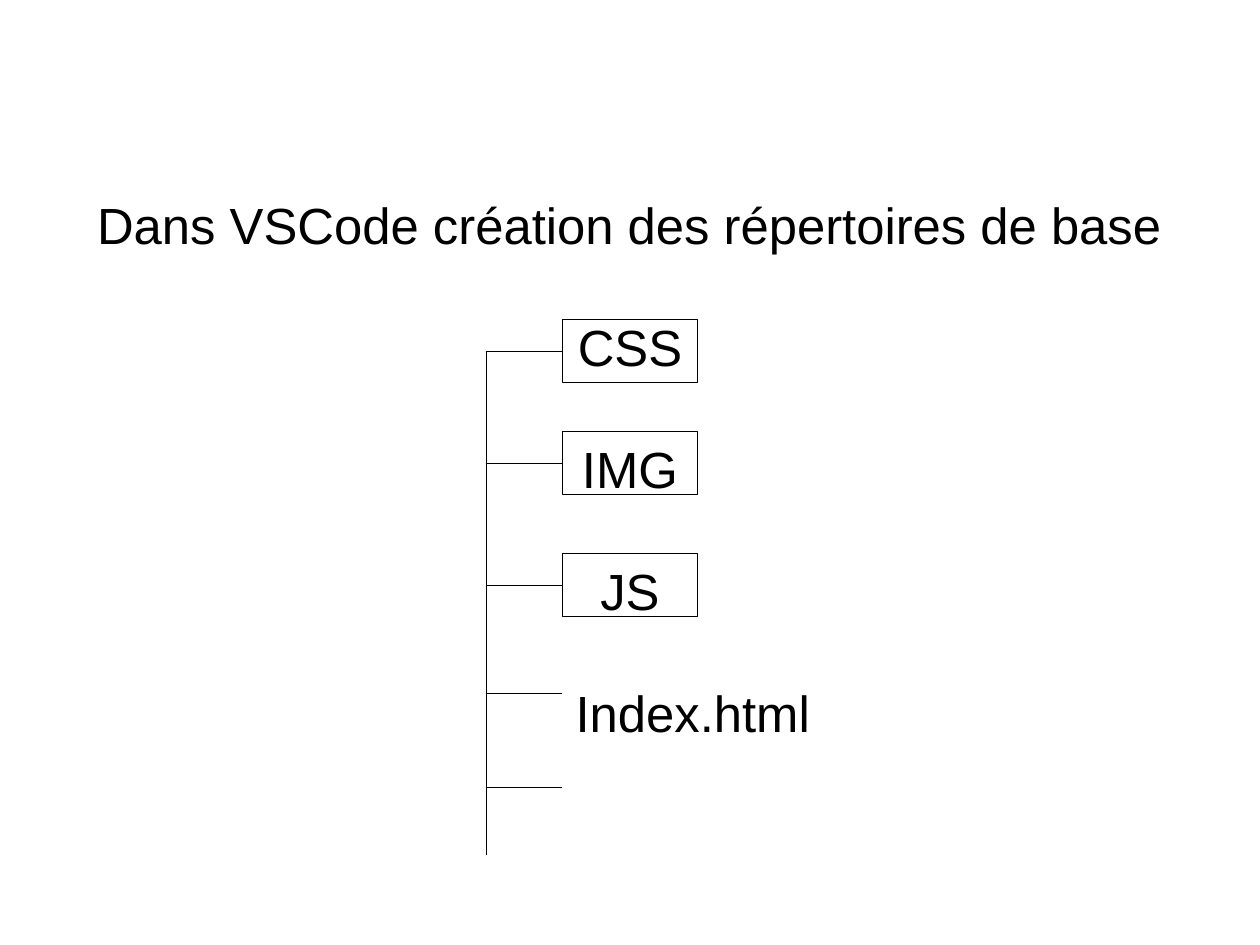
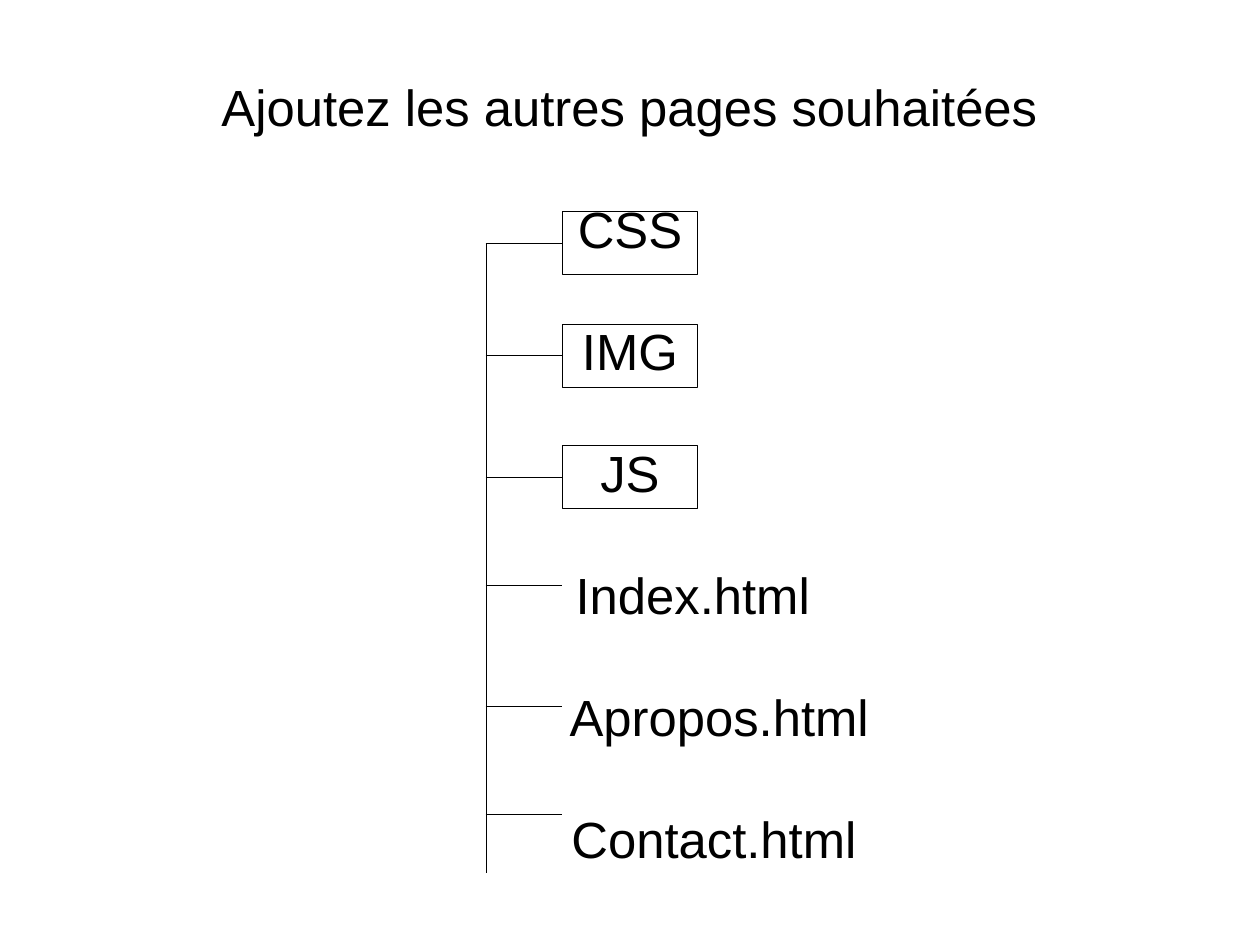
from dataclasses import dataclass

from lxml.etree import SubElement
from pptx import Presentation
from pptx.dml.color import RGBColor
from pptx.enum.shapes import MSO_CONNECTOR, MSO_SHAPE
from pptx.enum.text import MSO_ANCHOR, MSO_AUTO_SIZE, PP_ALIGN
from pptx.oxml.ns import qn
from pptx.util import Pt

# Shared style and grid, in points
SLIDE_WIDTH, SLIDE_HEIGHT = 793.75, 595.25
CENTRE = SLIDE_WIDTH / 2
FONT, TEXT_SIZE, BLACK, WHITE = "Arial", 32, "000000", "FFFFFF"
LINE_WIDTH = 0.1
TEXT_PITCH, TEXT_HEIGHT = 76.8, 40
TITLE_WIDTH, LABEL_WIDTH = 714, 240
TRUNK_X, BRANCH_END = 306, 354.3
FOLDER_WIDTH, FOLDER_HEIGHT = 85, 39.7


@dataclass(frozen=True)
class Entry:
    name: str
    is_folder: bool = False
    shift: float = 0  # label centre, right of the slide centre


@dataclass(frozen=True)
class TreeSlide:
    title: str
    title_y: float
    entries: tuple[Entry, ...]
    branches: tuple[float, ...]
    trunk_end: float


BASE_ENTRIES = (
    Entry("CSS", is_folder=True),
    Entry("IMG", is_folder=True),
    Entry("JS", is_folder=True),
    Entry("Index.html", shift=39.6),
)
SLIDES = (
    TreeSlide(
        "Dans VSCode création des répertoires de base",
        141.3,
        BASE_ENTRIES,
        (221.1, 291.7, 368.4, 436.5, 496),
        538.6,
    ),
    TreeSlide(
        "Ajoutez les autres pages souhaitées",
        67,
        BASE_ENTRIES + (Entry("Apropos.html", shift=56.3), Entry("Contact.html", shift=53)),
        (153.1, 223.7, 300.4, 368.6, 444.8, 512.8),
        550,
    ),
)


def colour(value: str) -> RGBColor:
    return RGBColor.from_string(value)


def place(shape, centre_x: float, centre_y: float, width: float, height: float) -> None:
    shape.left, shape.top = Pt(centre_x - width / 2), Pt(centre_y - height / 2)
    shape.width, shape.height = Pt(width), Pt(height)


def write_text(shape, text: str, *, size: float = TEXT_SIZE, font_colour: str = BLACK,
               align=PP_ALIGN.CENTER) -> None:
    frame = shape.text_frame
    frame.word_wrap = True
    frame.auto_size = MSO_AUTO_SIZE.NONE
    frame.vertical_anchor = MSO_ANCHOR.MIDDLE
    frame.margin_left = frame.margin_right = frame.margin_top = frame.margin_bottom = 0
    paragraph = frame.paragraphs[0]
    paragraph.alignment = align
    run = paragraph.add_run()
    run.text = text
    run.font.name, run.font.size = FONT, Pt(size)
    run.font.color.rgb = colour(font_colour)


def style_line(shape) -> None:
    shape.line.color.rgb = colour(BLACK)
    shape.line.width = Pt(LINE_WIDTH)


def add_line(slide, x1: float, y1: float, x2: float, y2: float) -> None:
    line = slide.shapes.add_connector(MSO_CONNECTOR.STRAIGHT, Pt(x1), Pt(y1), Pt(x2), Pt(y2))
    style_line(line)
    SubElement(line._element.spPr, qn("a:effectLst"))


def add_folder(slide, centre_y: float) -> None:
    folder = slide.shapes.add_shape(
        MSO_SHAPE.RECTANGLE, Pt(BRANCH_END), Pt(centre_y - FOLDER_HEIGHT / 2),
        Pt(FOLDER_WIDTH), Pt(FOLDER_HEIGHT))
    folder.shadow.inherit = False
    folder.fill.background()
    style_line(folder)


def add_label(slide, entry: Entry, centre_y: float) -> None:
    label = slide.shapes.add_textbox(0, 0, 0, 0)
    place(label, CENTRE + entry.shift, centre_y, LABEL_WIDTH, TEXT_HEIGHT)
    write_text(label, entry.name)


def build_slide(presentation, content: TreeSlide) -> None:
    slide = presentation.slides.add_slide(presentation.slide_layouts[5])
    slide.background.fill.solid()
    slide.background.fill.fore_color.rgb = colour(WHITE)

    # Title
    title = slide.shapes.title
    place(title, CENTRE, content.title_y, TITLE_WIDTH, TEXT_HEIGHT)
    write_text(title, content.title)

    # Tree: trunk and branches
    add_line(slide, TRUNK_X, content.branches[0], TRUNK_X, content.trunk_end)
    for branch_y in content.branches:
        add_line(slide, TRUNK_X, branch_y, BRANCH_END, branch_y)

    # Folders and file names
    for row, (entry, branch_y) in enumerate(zip(content.entries, content.branches), start=1):
        if entry.is_folder:
            add_folder(slide, branch_y)
        add_label(slide, entry, content.title_y + row * TEXT_PITCH)


def main() -> None:
    presentation = Presentation()
    presentation.slide_width, presentation.slide_height = Pt(SLIDE_WIDTH), Pt(SLIDE_HEIGHT)
    for content in SLIDES:
        build_slide(presentation, content)
    presentation.save("out.pptx")


if __name__ == "__main__":
    main()
